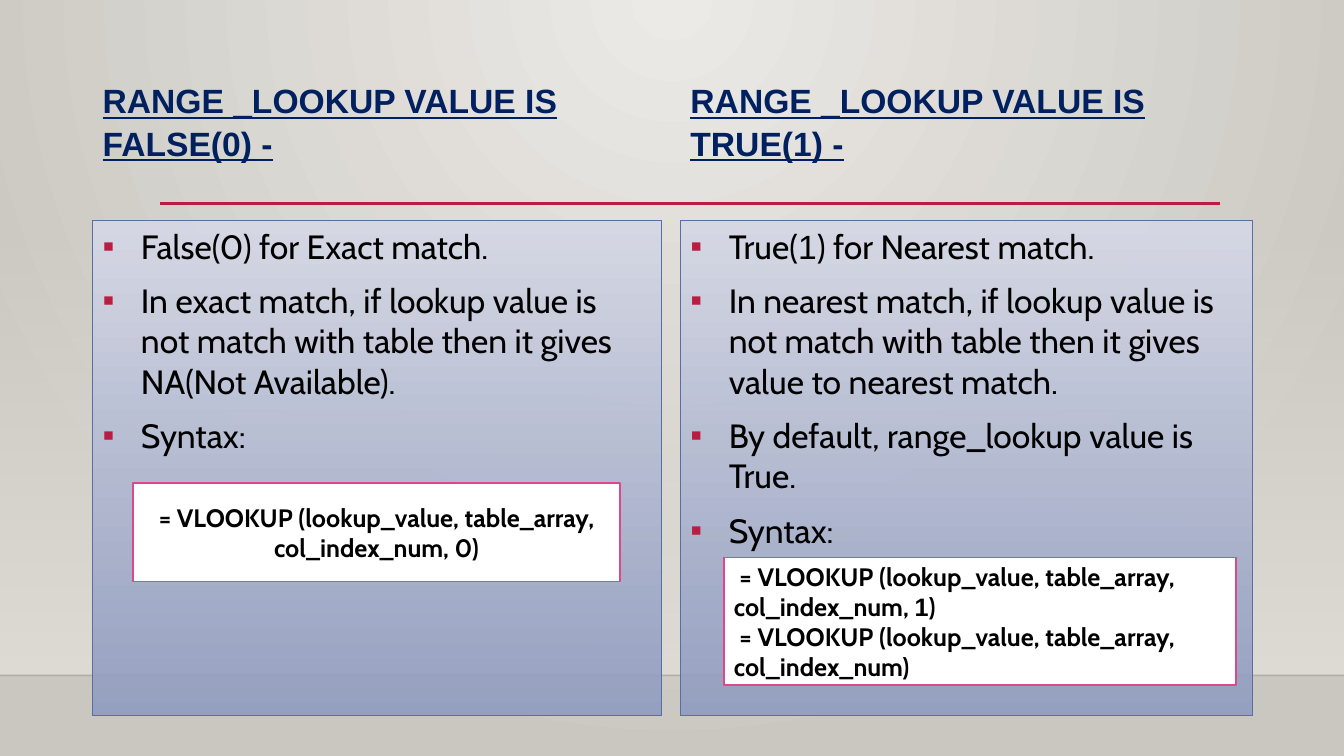
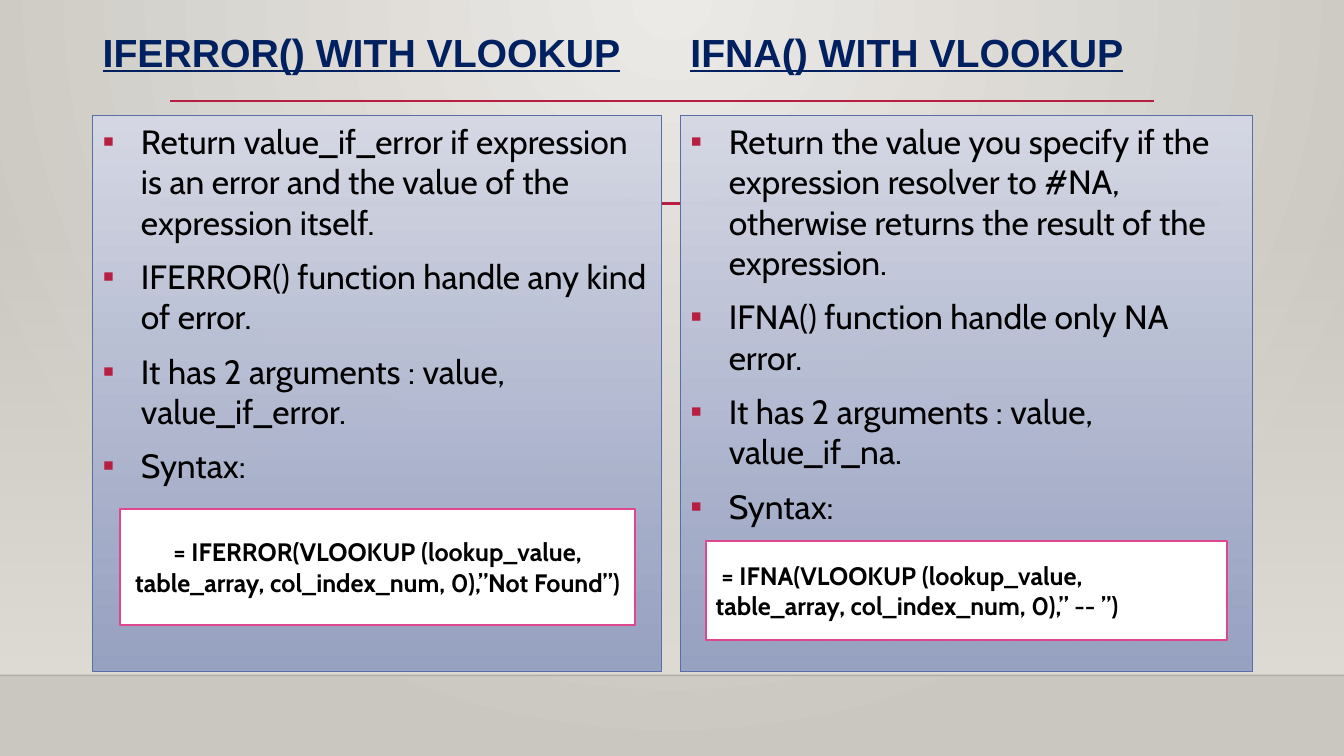
"""Build two slides comparing lookup options side by side."""
from pptx import Presentation
from pptx.dml.color import RGBColor
from pptx.enum.shapes import MSO_CONNECTOR as Connector, MSO_SHAPE as Shape
from pptx.enum.text import MSO_ANCHOR as Anchor, PP_ALIGN as Align
from pptx.oxml import parse_xml
from pptx.oxml.ns import nsdecls, qn
from pptx.oxml.xmlchemy import OxmlElement
from pptx.util import Inches, Pt

THEME = {
    "accent": "B71E42",
    "floor": "000001",
    "backdrop": [(0, "ECEAE7", 100), (100, "CAC7C1", 100)],
    "wall": [(0, "DFDBD5", 0), (100, "DFDBD5", 100)],
    "panel": [(0, "D6D9E5", 100), (100, "929DC0", 92)],
    "panel_line": "586EA6",
    "box": "FFFFFF",
    "box_line": "DE478E",
    "heading": {"name": "Arial", "bold": True, "underline": True, "color": "002060"},
    "body": {"name": "Cabin", "size": Pt(24), "color": "000000"},
    "syntax": {"name": "Cabin", "size": Pt(18), "bold": True, "color": "000000"},
    "digit_font": "Arial",
}
DOWNWARD = '<a:lin ang="5400000" scaled="0"/>'
FROM_TOP = '<a:path path="circle"><a:fillToRect l="43000" t="0" r="43000" b="100000"/></a:path>'
COLUMNS = [(0.92, 5.64), (6.75, 5.67)]
MASTER_LINES = [
    (0, 13.33, 6.7, THEME["floor"], 1, 20),
    (1.59, 12.1, 2.02, THEME["accent"], 2.5, 100),
]

SLIDES = [
    {
        "heading": {"top": 0.4, "height": 1.27, "size": 24, "spacing": 1.06},
        "panel": {"top": 2.19, "height": 4.91},
        "lines": [],
        "columns": [
            {
                "heading": "RANGE _LOOKUP VALUE IS FALSE(0) -",
                "points": [
                    "False(0) for Exact match.",
                    "In exact match, if lookup value is not match with table "
                    "then it gives NA(Not Available).",
                    "Syntax:",
                ],
                "box": (1.32, 4.79, 4.83, 0.98),
                "align": Align.CENTER,
                "syntax": ["= VLOOKUP (lookup_value, table_array, col_index_num, 0)"],
            },
            {
                "heading": "RANGE _LOOKUP VALUE IS TRUE(1) -",
                "points": [
                    "True(1) for Nearest match.",
                    "In nearest match, if lookup value is not match with table "
                    "then it gives value to nearest match.",
                    "By default, range_lookup value is True.",
                    "Syntax:",
                ],
                "box": (7.18, 5.53, 5.08, 1.27),
                "align": Align.LEFT,
                "syntax": [
                    " = VLOOKUP (lookup_value, table_array, col_index_num, 1)",
                    " = VLOOKUP (lookup_value, table_array, col_index_num)",
                ],
            },
        ],
    },
    {
        "heading": {"top": 0.27, "height": 0.53, "size": 28, "spacing": 0.9},
        "panel": {"top": 1.15, "height": 5.51},
        "lines": [(1.69, 11.45, 1, THEME["accent"], 1.75, 100)],
        "columns": [
            {
                "heading": "IFERROR() WITH VLOOKUP",
                "points": [
                    "Return value_if_error if expression is an error and the "
                    "value of the expression itself.",
                    "IFERROR() function handle any kind of error.",
                    "It has 2 arguments : value, value_if_error.",
                    "Syntax:",
                ],
                "box": (1.19, 5.05, 5.11, 1.15),
                "align": Align.CENTER,
                "syntax": [
                    "= IFERROR(VLOOKUP (lookup_value, table_array, "
                    "col_index_num, 0),”Not Found”)"
                ],
            },
            {
                "heading": "IFNA() WITH VLOOKUP",
                "points": [
                    "Return the value you specify if the expression resolver to "
                    "#NA, otherwise returns the result of the expression.",
                    "IFNA() function handle only NA error.",
                    "It has 2 arguments : value, value_if_na.",
                    "Syntax:",
                ],
                "box": (7, 5.37, 5.17, 0.98),
                "align": Align.LEFT,
                "syntax": [
                    " = IFNA(VLOOKUP (lookup_value, table_array, "
                    "col_index_num, 0),” -- ”)"
                ],
            },
        ],
    },
]


def apply_gradient(fill, holder, stops, direction):
    """Replace the fill of an element with a gradient."""
    fill.solid()
    stop_xml = "".join(
        f'<a:gs pos="{position * 1000}"><a:srgbClr val="{color}">'
        f'<a:alpha val="{alpha * 1000}"/></a:srgbClr></a:gs>'
        for position, color, alpha in stops
    )
    gradient = parse_xml(
        f'<a:gradFill {nsdecls("a")} rotWithShape="1">'
        f"<a:gsLst>{stop_xml}</a:gsLst>{direction}</a:gradFill>"
    )
    holder.replace(holder.find(qn("a:solidFill")), gradient)


def write_text(shape, texts, font_values, paragraph_values, anchor, bulleted=False):
    """Fill a shape with formatted paragraphs."""
    frame = shape.text_frame
    frame.word_wrap = True
    frame.vertical_anchor = anchor
    for index, text in enumerate(texts):
        paragraph = frame.add_paragraph() if index else frame.paragraphs[0]
        for name, value in paragraph_values.items():
            setattr(paragraph, name, value)
        if bulleted:
            properties = paragraph._p.get_or_add_pPr()
            properties.set("marL", str(Inches(0.38)))
            properties.set("indent", str(-Inches(0.38)))
            for bullet_xml in (
                f'<a:buClr {nsdecls("a")}><a:srgbClr val="{THEME["accent"]}"/></a:buClr>',
                f'<a:buFont {nsdecls("a")} typeface="Arial"/>',
                f'<a:buChar {nsdecls("a")} char="▪"/>',
            ):
                properties.append(parse_xml(bullet_xml))
        for part in filter(None, text.partition("1")):
            run = paragraph.add_run()
            run.text = part
            for name, value in font_values.items():
                if name == "color":
                    run.font.color.rgb = RGBColor.from_string(value)
                else:
                    setattr(run.font, name, value)
            if part == "1":
                run.font.name = THEME["digit_font"]


presentation = Presentation()
presentation.slide_width = Inches(13.33)
presentation.slide_height = Inches(7.5)

for content in SLIDES:
    slide = presentation.slides.add_slide(presentation.slide_layouts[6])
    background = slide.background.fill
    background.solid()
    holder = slide.element.xpath(".//p:bgPr")[0]
    apply_gradient(background, holder, THEME["backdrop"], FROM_TOP)

    wall = slide.shapes.add_shape(
        Shape.RECTANGLE, 0, Inches(2.21), Inches(13.33), Inches(4.49)
    )
    wall.shadow.inherit = False
    wall.line.fill.background()
    apply_gradient(wall.fill, wall.element.spPr, THEME["wall"], DOWNWARD)

    for start, end, height, color, width, alpha in MASTER_LINES + content["lines"]:
        rule = slide.shapes.add_connector(
            Connector.STRAIGHT, Inches(start), Inches(height), Inches(end), Inches(height)
        )
        rule.line.color.rgb = RGBColor.from_string(color)
        rule.line.width = Pt(width)
        properties = rule.element.spPr
        opacity = OxmlElement("a:alpha")
        opacity.set("val", str(alpha * 1000))
        properties.find(".//" + qn("a:srgbClr")).append(opacity)
        properties.append(OxmlElement("a:effectLst"))

    heading, panel_place = content["heading"], content["panel"]
    for (left, width), column in zip(COLUMNS, content["columns"]):
        title = slide.shapes.add_textbox(
            Inches(left), Inches(heading["top"]), Inches(width), Inches(heading["height"])
        )
        write_text(
            title,
            [column["heading"]],
            {**THEME["heading"], "size": Pt(heading["size"])},
            {"space_before": Pt(10), "line_spacing": heading["spacing"]},
            Anchor.BOTTOM,
        )

        panel = slide.shapes.add_shape(
            Shape.RECTANGLE,
            Inches(left),
            Inches(panel_place["top"]),
            Inches(width),
            Inches(panel_place["height"]),
        )
        apply_gradient(panel.fill, panel.element.spPr, THEME["panel"], DOWNWARD)
        write_text(
            panel,
            column["points"],
            THEME["body"],
            {"space_before": Pt(10), "alignment": Align.LEFT},
            Anchor.TOP,
            bulleted=True,
        )

        box = slide.shapes.add_shape(Shape.RECTANGLE, *map(Inches, column["box"]))
        box.fill.solid()
        box.fill.fore_color.rgb = RGBColor.from_string(THEME["box"])
        write_text(
            box,
            column["syntax"],
            THEME["syntax"],
            {"alignment": column["align"]},
            Anchor.MIDDLE,
        )

        for shape, color, weight in (
            (panel, THEME["panel_line"], 0.75),
            (box, THEME["box_line"], 1.25),
        ):
            shape.shadow.inherit = False
            shape.line.color.rgb = RGBColor.from_string(color)
            shape.line.width = Pt(weight)

presentation.save("out.pptx")
